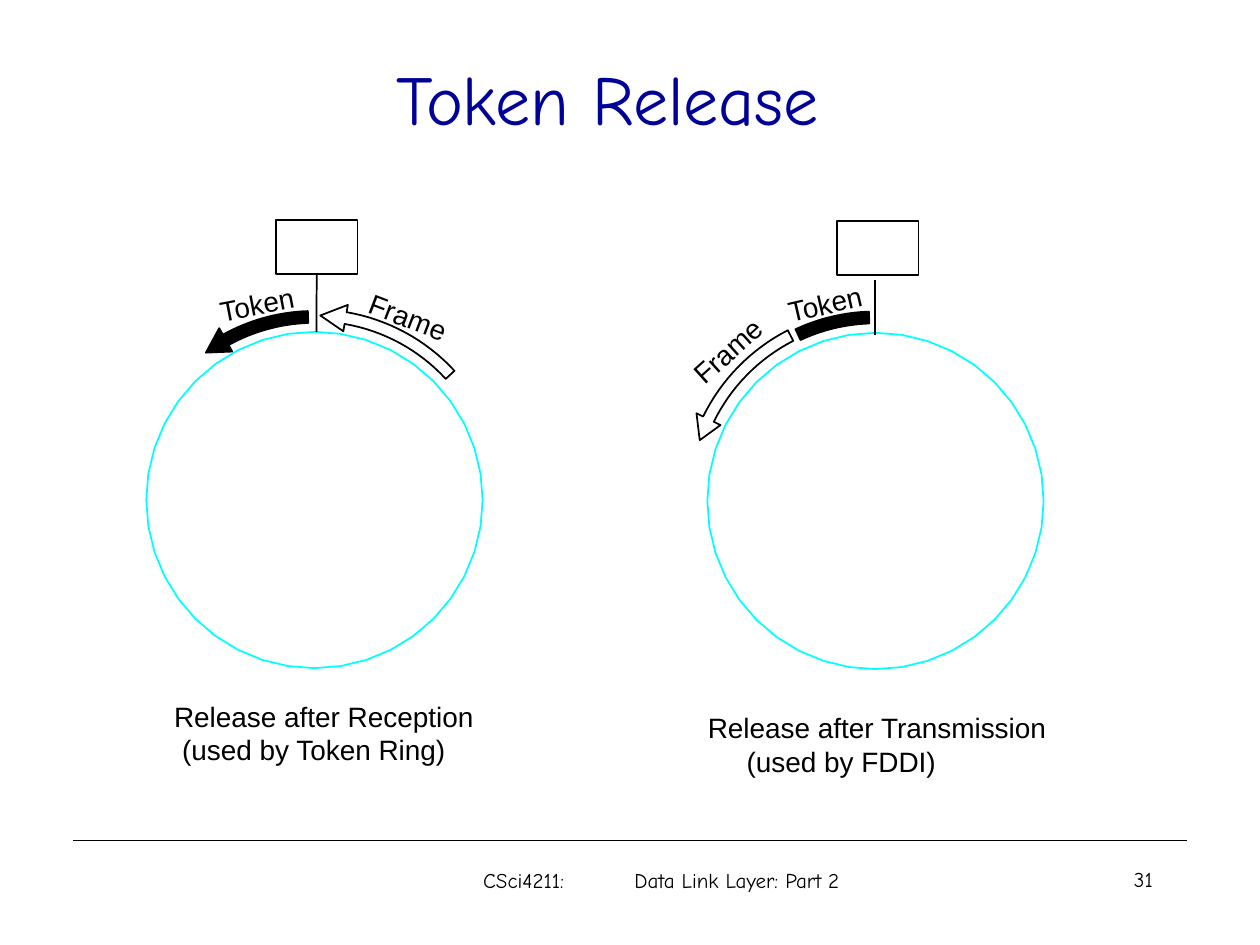
from math import cos, radians, sin

from lxml import etree
from pptx import Presentation
from pptx.dml.color import RGBColor
from pptx.enum import shapes, text
from pptx.oxml.ns import qn
from pptx.util import Cm, Pt

BLACK, NAVY, CYAN = "000000", "000099", "00FFFF"
RING_RADIUS = 3.39
RING_SIDES = 40
BAND_HALF = 0.12
HEAD_HALF = 0.27


def color(hex_value):
    return RGBColor.from_string(hex_value)


def paint(shape, line, fill=None):
    shape.shadow.inherit = False
    shape.line.color.rgb = color(line)
    shape.line.width = Pt(1)
    if fill:
        shape.fill.solid()
        shape.fill.fore_color.rgb = color(fill)
    else:
        shape.fill.background()


def add_line(slide, start, end, width=1):
    line = slide.shapes.add_connector(
        shapes.MSO_CONNECTOR.STRAIGHT, *map(Cm, start + end))
    line.line.color.rgb = color(BLACK)
    line.line.width = Pt(width)
    etree.SubElement(line._element.spPr, qn("a:effectLst"))
    return line


def add_text(slide, box, lines, size=16, font="Arial", ink=BLACK,
             align=text.PP_ALIGN.LEFT, anchor=text.MSO_ANCHOR.TOP,
             inset=0, wrap=True):
    label = slide.shapes.add_textbox(*map(Cm, box))
    frame = label.text_frame
    frame.word_wrap = wrap
    frame.vertical_anchor = anchor
    frame.margin_left = frame.margin_right = Cm(inset)
    frame.margin_top = frame.margin_bottom = Cm(inset / 2)
    for index, line in enumerate(lines):
        paragraph = frame.add_paragraph() if index else frame.paragraphs[0]
        paragraph.alignment = align
        run = paragraph.add_run()
        run.text = line
        run.font.size = Pt(size)
        run.font.name = font
        run.font.color.rgb = color(ink)
    return label


def polar(center, radius, angle):
    x, y = center
    return (Cm(x + radius * sin(radians(angle))),
            Cm(y - radius * cos(radians(angle))))


def add_outline(slide, points, line, fill=None):
    builder = slide.shapes.build_freeform(*points[0], scale=1.0)
    builder.add_line_segments(points[1:], close=True)
    paint(builder.convert_to_shape(), line, fill)


def add_ring(slide, center):
    corners = [polar(center, RING_RADIUS, 360 * side / RING_SIDES)
               for side in range(RING_SIDES)]
    add_outline(slide, corners, CYAN)


def add_band(slide, center, radius, tail, neck, tip=None, fill=None):
    steps = 16
    angles = [tail + (neck - tail) * step / steps for step in range(steps + 1)]
    outer = [polar(center, radius + BAND_HALF, angle) for angle in angles]
    inner = [polar(center, radius - BAND_HALF, angle) for angle in angles]
    head = []
    if tip is not None:
        head = [polar(center, radius + HEAD_HALF, neck),
                polar(center, radius, tip),
                polar(center, radius - HEAD_HALF, neck)]
    add_outline(slide, outer + head + inner[::-1], BLACK, fill)


def add_station(slide, left, top):
    station = slide.shapes.add_shape(
        shapes.MSO_SHAPE.RECTANGLE, Cm(left), Cm(top), Cm(1.65), Cm(1.1))
    paint(station, BLACK)
    return station


def add_label(slide, word, center, rotation):
    x, y = center
    label = add_text(slide, (x - 0.82, y - 0.34, 1.64, 0.68), [word],
                     align=text.PP_ALIGN.CENTER, wrap=False)
    label.rotation = rotation


def add_caption(slide, box, scheme, user, indent):
    caption = add_text(slide, box, [scheme, user])
    properties = caption.text_frame.paragraphs[1]._p.get_or_add_pPr()
    properties.set("marL", str(Cm(indent)))
    properties.set("indent", "0")


def add_reception(slide):
    center = (6.34, 10.08)
    add_ring(slide, center)
    station = add_station(slide, 5.56, 4.43)
    link = add_line(slide, (6.38, 5.53), (6.38, 6.69))
    link.begin_connect(station, 2)
    add_band(slide, center, 3.69, -2, -29, -36.4, BLACK)
    add_band(slide, center, 3.72, 47.3, 9.7, 1.8)
    add_label(slide, "Token", (5.18, 6.13), 349)
    add_label(slide, "Frame", (8.23, 6.39), 21)
    add_caption(slide, (3.51, 14.1, 6.4, 1.37), "Release after Reception",
                "(used by Token Ring)", 0.16)


def add_transmission(slide):
    center = (17.65, 10.1)
    add_ring(slide, center)
    add_station(slide, 16.87, 4.45)
    add_line(slide, (17.64, 5.64), (17.64, 6.76))
    add_band(slide, center, 3.7, -2, -25, fill=BLACK)
    add_band(slide, center, 3.75, -27.2, -63.9, -70.9)
    add_label(slide, "Token", (16.63, 6.12), 347)
    add_label(slide, "Frame", (14.66, 7.07), 318)
    add_caption(slide, (14.27, 14.33, 7.1, 1.37), "Release after Transmission",
                "(used by FDDI)", 0.78)


def add_footer(slide):
    add_line(slide, (1.48, 16.94), (23.92, 16.94), 0.75)
    course = add_text(slide, (9.74, 17.48, 7.7, 1.02),
                      ["CSci4211:\tData Link Layer: Part 2"], 12, "Comic Neue")
    properties = course.text_frame.paragraphs[0]._p.get_or_add_pPr()
    stops = etree.SubElement(properties, qn("a:tabLst"))
    etree.SubElement(stops, qn("a:tab"), pos=str(Cm(3.05)), algn="l")
    course.text_frame.margin_top = Cm(0.13)
    add_text(slide, (18.21, 17.35, 5.28, 1.27), ["31"], 12, "Comic Neue",
             align=text.PP_ALIGN.RIGHT, inset=0.25)
    course.top = Cm(17.35)


def main():
    deck = Presentation()
    deck.slide_width, deck.slide_height = Cm(25.4), Cm(19.05)
    slide = deck.slides.add_slide(deck.slide_layouts[6])
    add_text(slide, (1.45, 0.38, 21.59, 3.18), ["Token Release"], 40,
             "Comic Neue", NAVY, text.PP_ALIGN.CENTER,
             text.MSO_ANCHOR.MIDDLE, 0.25)
    add_reception(slide)
    add_transmission(slide)
    add_footer(slide)
    deck.save("out.pptx")


if __name__ == "__main__":
    main()
